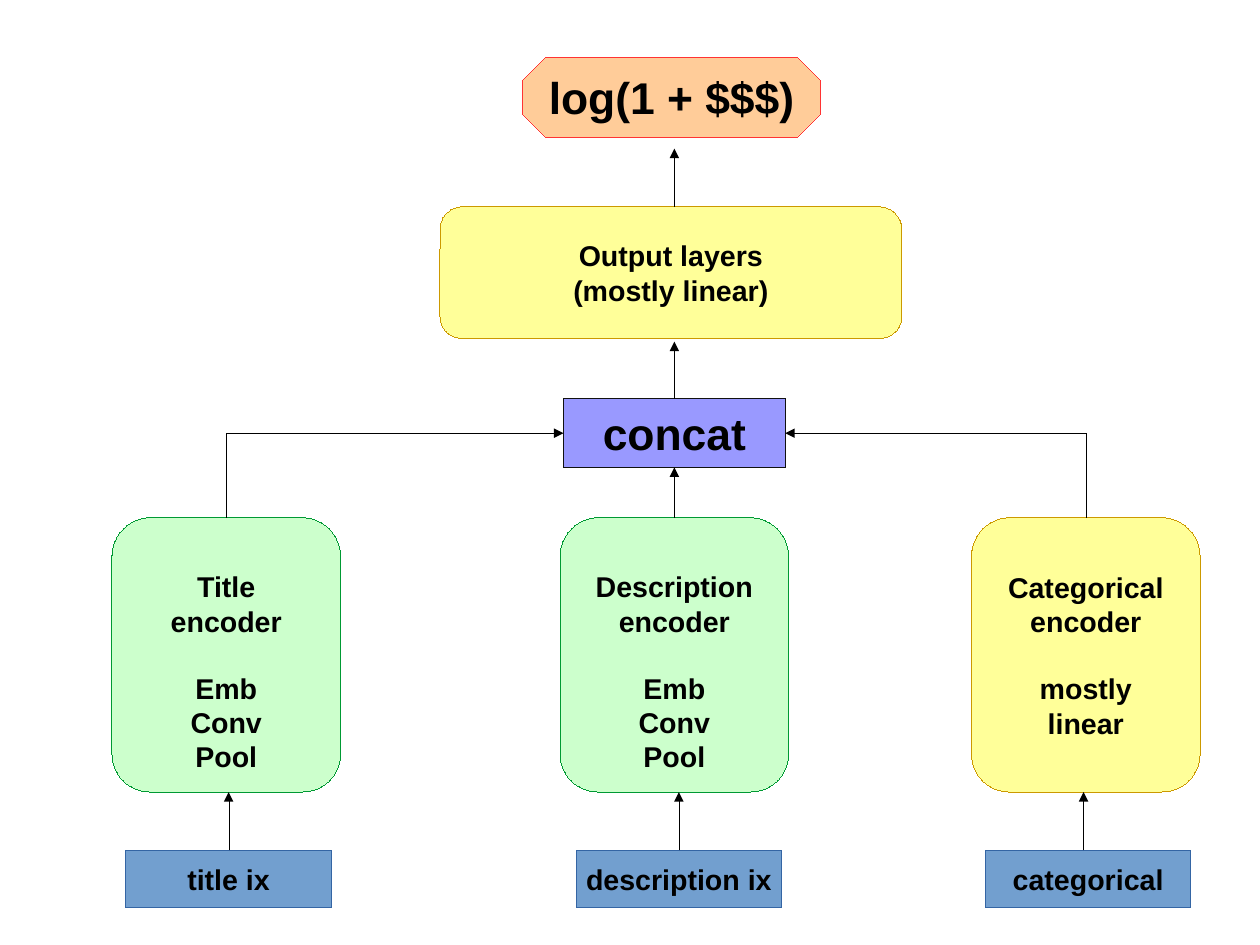
import pptx
import pptx.util
import pptx.dml.color
import pptx.enum.shapes
import pptx.enum.text
import pptx.oxml
import pptx.oxml.ns

Inches = pptx.util.Inches
Pt = pptx.util.Pt
Shape = pptx.enum.shapes.MSO_SHAPE
Connector = pptx.enum.shapes.MSO_CONNECTOR
TOP, LEFT, BOTTOM, RIGHT = range(4)
CM_PER_INCH = 2.54


def color(value):
    return pptx.dml.color.RGBColor.from_string(value)


class Diagram:
    """Draws labelled blocks and arrows in one style on the current slide."""

    font = "Arial"
    ink = "000000"
    corner = 0.167
    gap = 20.7

    def __init__(self, slide):
        self.slide = slide

    def hairline(self, item, line):
        item.line.color.rgb = color(line)
        outline = item._element.spPr.find(pptx.oxml.ns.qn("a:ln"))
        outline.set("w", "0")
        return outline

    def block(self, kind, place, fill, line, groups, size=18, adjust=None, top=0.05):
        shape = self.slide.shapes.add_shape(kind, *map(Inches, place))
        shape.shadow.inherit = False
        if adjust is not None:
            shape.adjustments[0] = adjust
        shape.fill.solid()
        shape.fill.fore_color.rgb = color(fill)
        self.hairline(shape, line)
        frame = shape.text_frame
        frame.word_wrap = False
        frame.vertical_anchor = pptx.enum.text.MSO_ANCHOR.MIDDLE
        frame.margin_top = Inches(top)
        paragraph = frame.paragraphs[0]
        for group_index, group in enumerate(groups):
            for line_index, text in enumerate(group):
                if group_index or line_index:
                    paragraph = frame.add_paragraph()
                if group_index and not line_index:
                    paragraph.space_before = Pt(self.gap)
                paragraph.alignment = pptx.enum.text.PP_ALIGN.CENTER
                run = paragraph.add_run()
                run.text = text
                run.font.name = self.font
                run.font.size = Pt(size)
                run.font.bold = True
                run.font.color.rgb = color(self.ink)
        return shape

    def arrow(self, start, end, kind=Connector.STRAIGHT, head="tailEnd"):
        connector = self.slide.shapes.add_connector(kind, *map(Inches, start + end))
        namespace = pptx.oxml.ns.nsdecls("a")
        self.hairline(connector, self.ink).append(
            pptx.oxml.parse_xml(f'<a:{head} {namespace} type="triangle"/>'))
        connector._element.spPr.append(
            pptx.oxml.parse_xml(f"<a:effectLst {namespace}/>"))
        return connector

    def corner_arrow(self, target, target_side, target_point, source, source_point):
        connector = self.arrow(target_point, source_point, Connector.ELBOW, "headEnd")
        connector._element.spPr.find(pptx.oxml.ns.qn("a:prstGeom")).set(
            "prst", "bentConnector2")
        connector.begin_connect(target, target_side)
        connector.end_connect(source, TOP)


def main():
    presentation = pptx.Presentation()
    presentation.slide_width = Inches(28 / CM_PER_INCH)
    presentation.slide_height = Inches(21 / CM_PER_INCH)
    slide_size = presentation.element.find(pptx.oxml.ns.qn("p:sldSz"))
    slide_size.attrib.pop("type", None)
    diagram = Diagram(presentation.slides.add_slide(presentation.slide_layouts[6]))

    yellow = ("FFFF99", "CC9900")
    green = ("CCFFCC", "009933")
    layers = ["Emb", "Conv", "Pool"]
    branches = [
        ("title ix", 1.1, 2.0, 0.98, green, [["Title", "encoder"], layers], 0.34),
        ("description ix", 5.04, 5.94, 4.9, green,
         [["Description", "encoder"], layers], 0.34),
        ("categorical", 8.62, 9.48, 8.5, yellow,
         [["Categorical", "encoder"], ["mostly", "linear"]], 0.05),
    ]
    encoders = []
    for name, input_left, arrow_x, encoder_left, colors, groups, top in branches:
        model_input = diagram.block(Shape.RECTANGLE, (input_left, 7.44, 1.8, 0.5),
                                    "729FCF", "3465A4", [[name]])
        encoders.append(diagram.block(
            Shape.ROUNDED_RECTANGLE, (encoder_left, 4.53, 2, 2.4), *colors, groups,
            adjust=diagram.corner, top=top))
        feed = diagram.arrow((arrow_x, 7.44), (arrow_x, 6.93))
        if abs(arrow_x - input_left - 0.9) < 0.01:
            feed.begin_connect(model_input, TOP)

    diagram.block(Shape.ROUNDED_RECTANGLE, (3.85, 1.81, 4.04, 1.15), *yellow,
                  [["Output layers", "(mostly linear)"]], adjust=diagram.corner)
    concat = diagram.block(Shape.RECTANGLE, (4.93, 3.49, 1.94, 0.6),
                           "9999FF", "111111", [["concat"]], size=28)
    diagram.block(Shape.OCTAGON, (4.57, 0.5, 2.61, 0.7), "FFCC99", "FF3333",
                  [["log(1 + $$$)"]], size=28, adjust=0.293)

    title, description, categorical = encoders
    diagram.corner_arrow(concat, LEFT, (4.93, 3.79), title, (1.98, 4.53))
    diagram.corner_arrow(concat, RIGHT, (6.87, 3.79), categorical, (9.5, 4.53))
    description_arrow = diagram.arrow((5.9, 4.53), (5.9, 4.09))
    description_arrow.begin_connect(description, TOP)
    description_arrow.end_connect(concat, BOTTOM)
    diagram.arrow((5.9, 3.49), (5.9, 2.99)).begin_connect(concat, TOP)
    diagram.arrow((5.9, 1.81), (5.9, 1.3))

    presentation.save("out.pptx")


if __name__ == "__main__":
    main()
